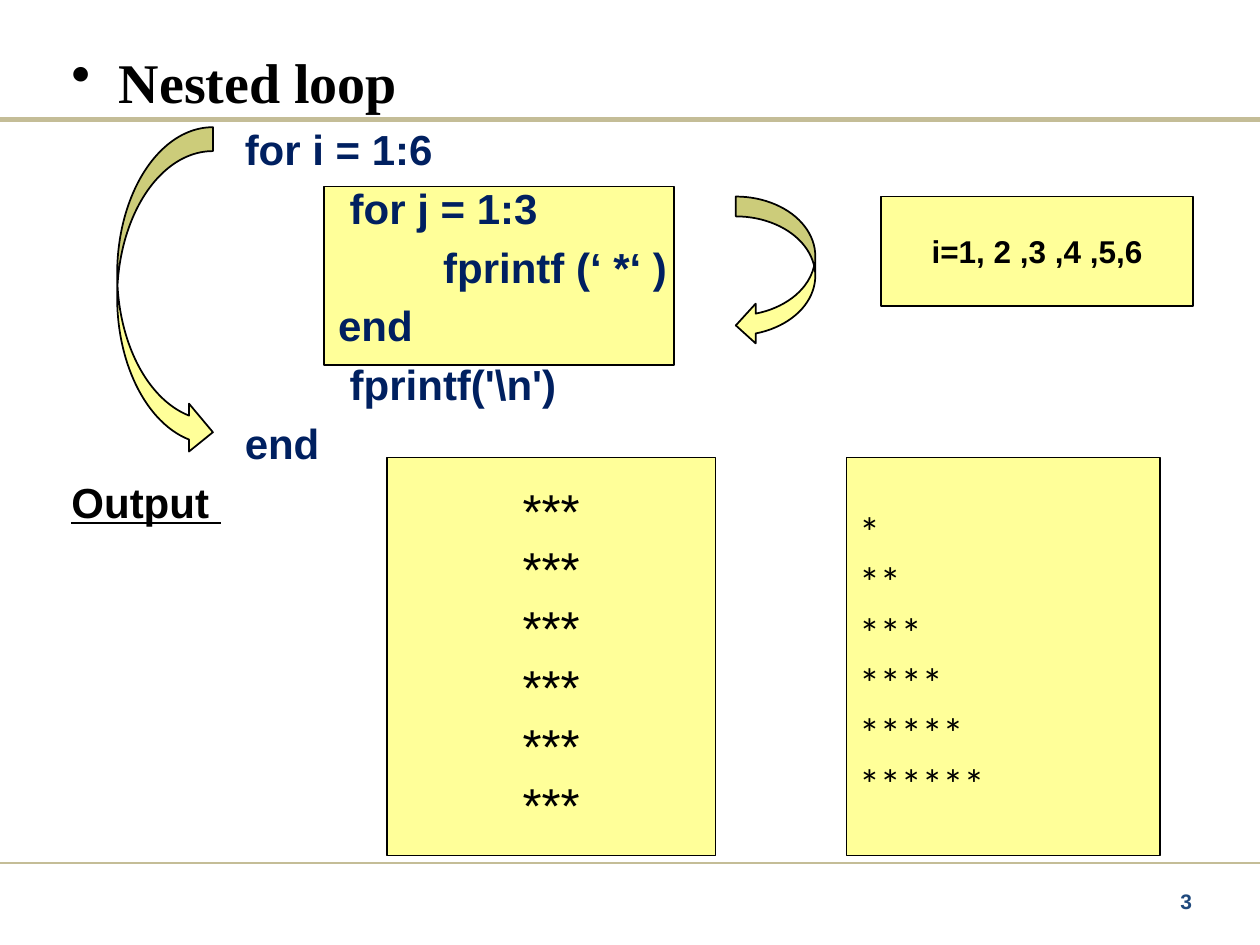
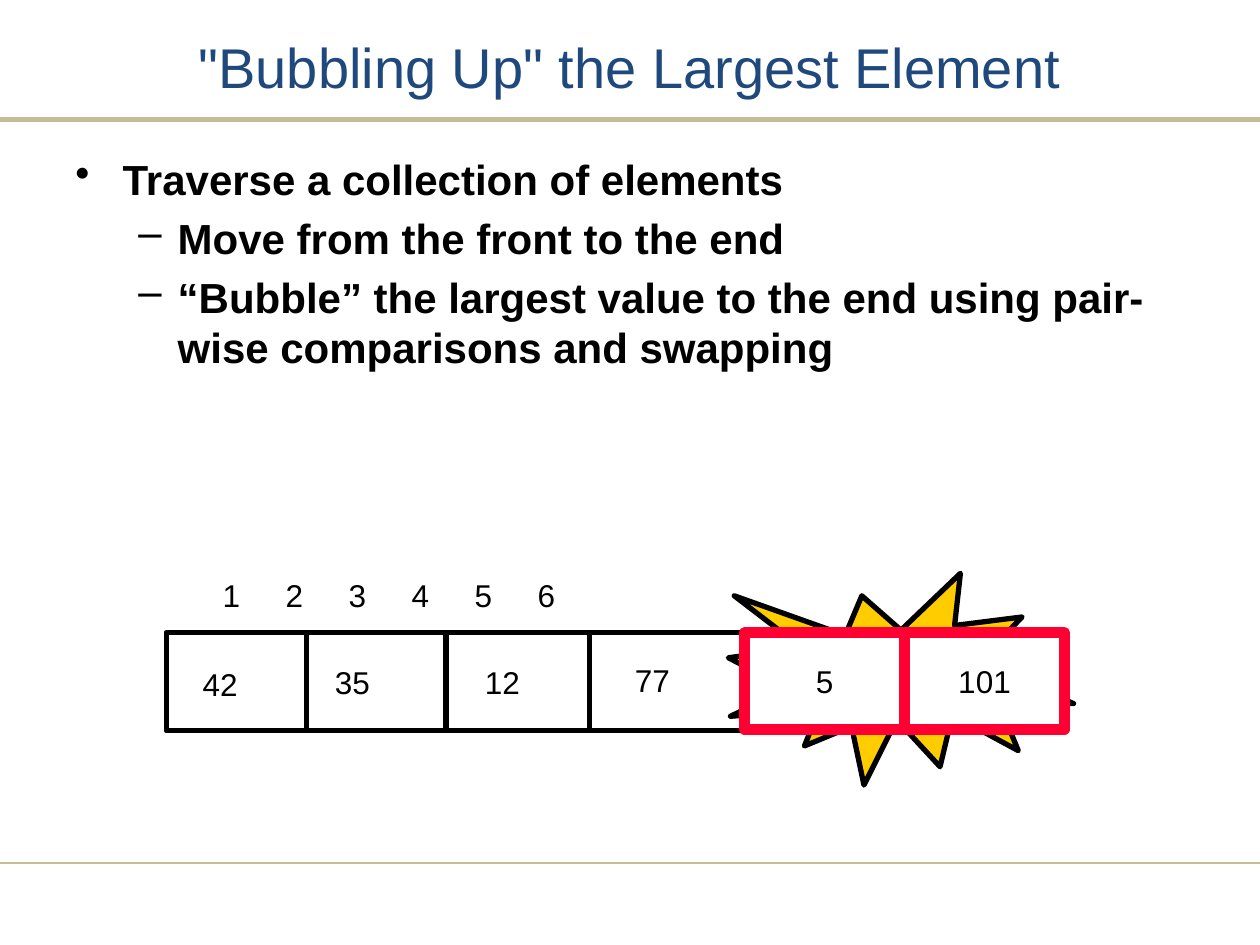
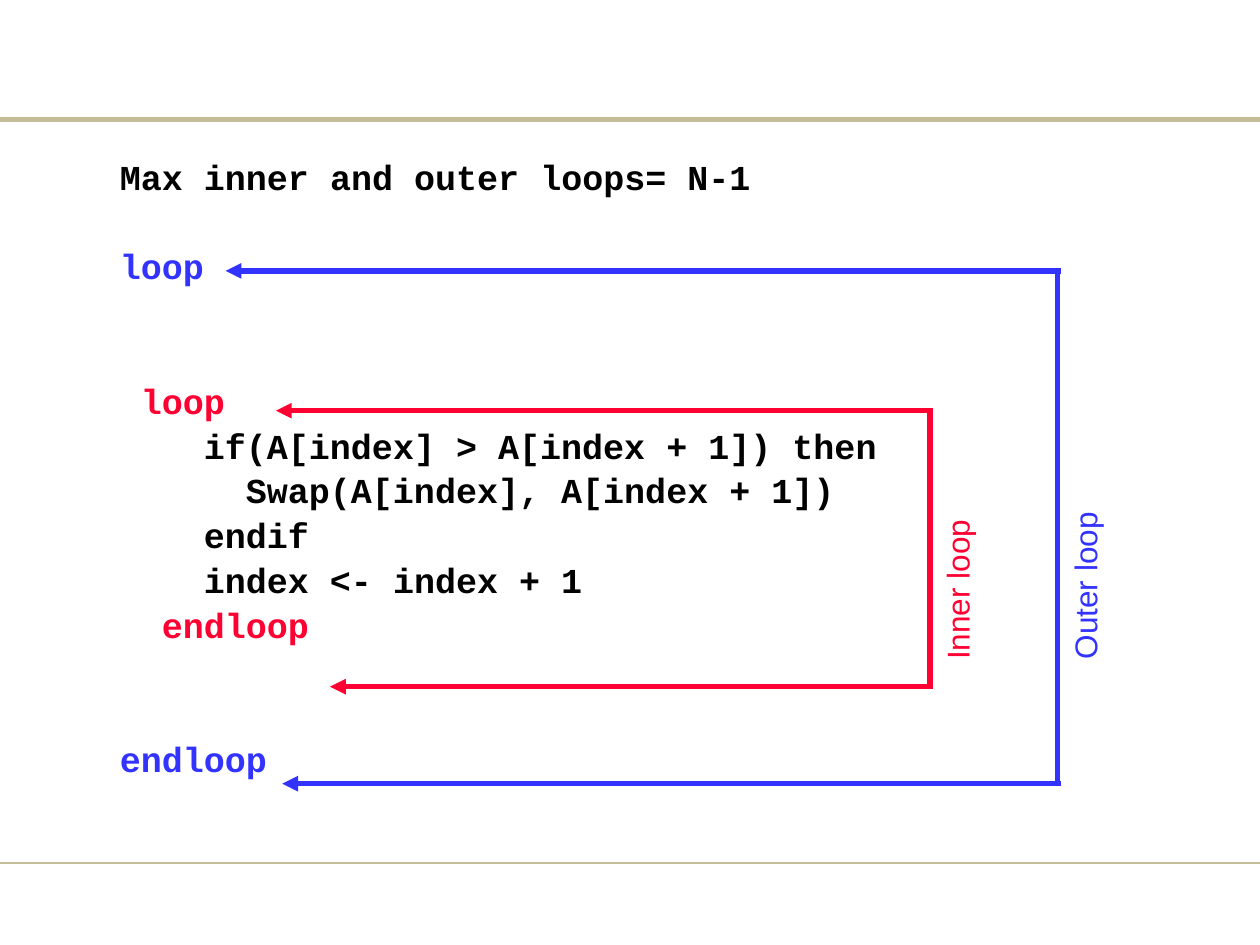
from dataclasses import dataclass

from lxml.etree import SubElement
from pptx import Presentation
from pptx.dml.color import RGBColor
from pptx.enum.shapes import MSO_CONNECTOR, MSO_SHAPE
from pptx.enum.text import MSO_ANCHOR, PP_ALIGN
from pptx.oxml.ns import qn
from pptx.util import Pt


@dataclass(frozen=True)
class Theme:
    """Colours, fonts and type sizes of the deck."""
    black: str = "000000"
    white: str = "FFFFFF"
    tan: str = "C4BD97"
    title: str = "1F497D"
    navy: str = "002060"
    cream: str = "FFFF99"
    gold: str = "FFCC00"
    red: str = "FF0033"
    blue: str = "3333FF"
    sans: str = "Arial"
    serif: str = "Times New Roman"
    mono: str = "Courier New"
    round: str = "Calibri"
    head: int = 32
    stars: int = 28
    body: int = 24
    code: int = 20
    label: int = 18
    small: int = 12


T = Theme()
WIDTH, HEIGHT = 720, 540
LEFT, MID, RIGHT = PP_ALIGN.LEFT, PP_ALIGN.CENTER, PP_ALIGN.RIGHT


def rgb(code):
    """Turn a hex code into a colour."""
    return RGBColor.from_string(code)


def style(para, text, size=T.label, font=T.sans, color=T.black, bold=False,
          under=False, align=LEFT, before=0, line=None, margin=0, indent=0,
          bullet=None, tabs=()):
    """Fill one paragraph with text in the given format."""
    para.alignment = align
    para.space_before = Pt(before)
    if line:
        para.line_spacing = line
    props = para._p.get_or_add_pPr()
    props.set("marL", str(Pt(margin)))
    props.set("indent", str(Pt(indent)))
    if bullet:
        SubElement(props, qn("a:buChar"), char=bullet)
    if tabs:
        stops = SubElement(props, qn("a:tabLst"))
        for stop in tabs:
            SubElement(stops, qn("a:tab"), pos=str(Pt(stop)), algn="l")
    run = para.add_run()
    run.text = text
    face = run.font
    face.size, face.name, face.bold, face.underline = Pt(size), font, bold, under
    face.color.rgb = rgb(color)


def write(shape, rows, anchor=MSO_ANCHOR.TOP, **form):
    """Write rows, each a text or a (text, own format) pair, into a shape."""
    frame = shape.text_frame
    frame.word_wrap = True
    frame.vertical_anchor = anchor
    for at, row in enumerate(rows):
        text, own = (row, {}) if isinstance(row, str) else row
        para = frame.add_paragraph() if at else frame.paragraphs[0]
        style(para, text, **{**form, **own})


def label(slide, box, *rows, turn=0, **form):
    """Add a text box."""
    shape = slide.shapes.add_textbox(*map(Pt, box))
    shape.rotation = turn
    write(shape, rows, **form)


def block(slide, box, *rows, kind=MSO_SHAPE.RECTANGLE, fill=T.cream,
          edge=T.black, width=1, flip=False, **form):
    """Add an outlined shape, with centred text if rows are given."""
    shape = slide.shapes.add_shape(kind, *map(Pt, box))
    shape.shadow.inherit = False
    if fill:
        shape.fill.solid()
        shape.fill.fore_color.rgb = rgb(fill)
    else:
        shape.fill.background()
    shape.line.color.rgb = rgb(edge)
    shape.line.width = Pt(width)
    if flip:
        shape._element.spPr.xfrm.set("flipH", "1")
    if rows:
        write(shape, rows, **{"anchor": MSO_ANCHOR.MIDDLE, "align": MID, **form})


def rule(slide, start, end, color=T.black, width=3, arrow=False):
    """Draw a straight line, with an arrowhead at its end on request."""
    link = slide.shapes.add_connector(
        MSO_CONNECTOR.STRAIGHT, *map(Pt, (*start, *end)))
    link.line.color.rgb = rgb(color)
    link.line.width = Pt(width)
    props = link._element.spPr
    if arrow:
        SubElement(props.find(qn("a:ln")), qn("a:tailEnd"), type="triangle")
    SubElement(props, qn("a:effectLst"))


def page(deck):
    """Add a blank slide with the two shared rules."""
    slide = deck.slides.add_slide(deck.slide_layouts[6])
    for y, width in ((493.2, 1), (68.4, 3)):
        rule(slide, (0, y), (WIDTH, y), T.tan, width)
    return slide


def nested(deck):
    """Nested loop code and its output."""
    slide = page(deck)
    block(slide, (185, 106.5, 200, 102.2))
    block(slide, (483.8, 261.4, 179.3, 227.5),
          *("*" * count for count in range(1, 7)),
          size=T.body, font=T.round, align=LEFT)
    code = [("for i = 1:6", 99), ("for j = 1:3", 159),
            ("fprintf (‘ *‘ )", 212.4), ("end", 152.4),
            ("fprintf('\\n')", 159), ("end", 99)]
    label(slide, (33.8, 23.8, 648, 482.4),
          ("Nested loop", dict(size=T.head, font=T.serif, before=6.4,
                               margin=27, indent=-27, bullet="•")),
          *((text, dict(color=T.navy, margin=left)) for text, left in code),
          ("Output ", dict(under=True)),
          size=T.body, bold=True, before=4.8)
    label(slide, (652.3, 504, 36, 28.8), "3", size=T.small, color=T.title,
          bold=True, align=RIGHT)
    bend = MSO_SHAPE.CURVED_LEFT_ARROW
    block(slide, (420.5, 112.3, 45.4, 85), kind=bend)
    block(slide, (67, 72.7, 54.7, 188), kind=bend, flip=True)
    block(slide, (221, 261.4, 188, 227.5), *["***"] * 6, size=T.stars)
    block(slide, (503.3, 112.3, 178.6, 62.6), "i=1, 2 ,3 ,4 ,5,6", bold=True)


def bubble(deck):
    """The largest element moving to the end of the array."""
    slide = page(deck)
    label(slide, (36, 9.4, 648, 56.2), '"Bubbling Up" the Largest Element',
          size=T.head, color=T.title, align=MID, anchor=MSO_ANCHOR.MIDDLE)
    dash = dict(margin=58.5, indent=-22.5, bullet="–")
    label(slide, (36, 84.2, 648, 398.2),
          ("Traverse a collection of elements",
           dict(margin=27, indent=-27, bullet="•")),
          ("Move from the front to the end", dash),
          ("“Bubble” the largest value to the end using pair-wise "
           "comparisons and swapping", dash),
          size=T.body, bold=True, before=4.8)
    top, tall = 361.4, 56.2
    block(slide, (95, top, 513.4, tall), fill=None, width=3)
    for x in (175, 254.9, 337):
        rule(slide, (x, top), (x, top + tall))
    for text, x, y in (("42", 108.7, 376.6), ("35", 184.3, 375.1),
                       ("12", 270, 375.1), ("77", 355.7, 374.4)):
        label(slide, (x, y, 41, 36), text)
    label(slide, (120.2, 325.4, 452.2, 36), "1\t2\t3\t4\t5\t6",
          tabs=(60, 120, 180, 250, 320))
    block(slide, (416.2, 327.6, 197.3, 121), kind=MSO_SHAPE.EXPLOSION1,
          fill=T.gold, width=3)
    wide = 91.4
    for at, text in enumerate(("5", "101")):
        block(slide, (425.5 + at * wide, top, wide, 55.4), text,
              fill=T.white, edge=T.red, width=6)


def bracket(slide, x, ends, color):
    """Draw a loop bracket: a side at x and an arrow to each end."""
    for tip in ends:
        rule(slide, (x + 2, tip[1]), tip, color, arrow=True)
    rule(slide, (x, ends[0][1]), (x, ends[1][1]), color)


def loops(deck):
    """Inner and outer loop of the sort."""
    slide = page(deck)
    cell, pitch, gap = 12, 25.6, 4
    # text, indent in characters, empty lines above, colour
    code = [("Max inner and outer loops= N-1", 2, 0, T.black),
            ("loop", 2, 1, T.blue),
            ("loop", 3, 2, T.red),
            ("if(A[index] > A[index + 1]) then", 6, 0, T.black),
            ("Swap(A[index], A[index + 1])", 8, 0, T.black),
            ("endif", 6, 0, T.black),
            ("index <- index + 1", 6, 0, T.black),
            ("endloop", 4, 0, T.red),
            ("endloop", 2, 2, T.blue)]
    label(slide, (37.4, 36.7 + 2 * pitch, 649.4, 404.6),
          *((text, dict(margin=cell * chars, before=gap + pitch * skip,
                        color=color))
            for text, chars, skip, color in code),
          size=T.code, font=T.mono, bold=True, line=0.9)
    bracket(slide, 531.4, ((157.7, 234.7), (188.6, 392.4)), T.red)
    bracket(slide, 604.1, ((128.9, 154.8), (161.3, 447.8)), T.blue)
    label(slide, (485.3, 301, 130.3, 36), "Inner loop", turn=270, color=T.red)
    label(slide, (555.8, 298.1, 135.4, 36), "Outer loop", turn=270,
          color=T.blue)


def main():
    """Build and save the deck."""
    deck = Presentation()
    deck.slide_width, deck.slide_height = Pt(WIDTH), Pt(HEIGHT)
    for build in (nested, bubble, loops):
        build(deck)
    deck.save("out.pptx")


main()
